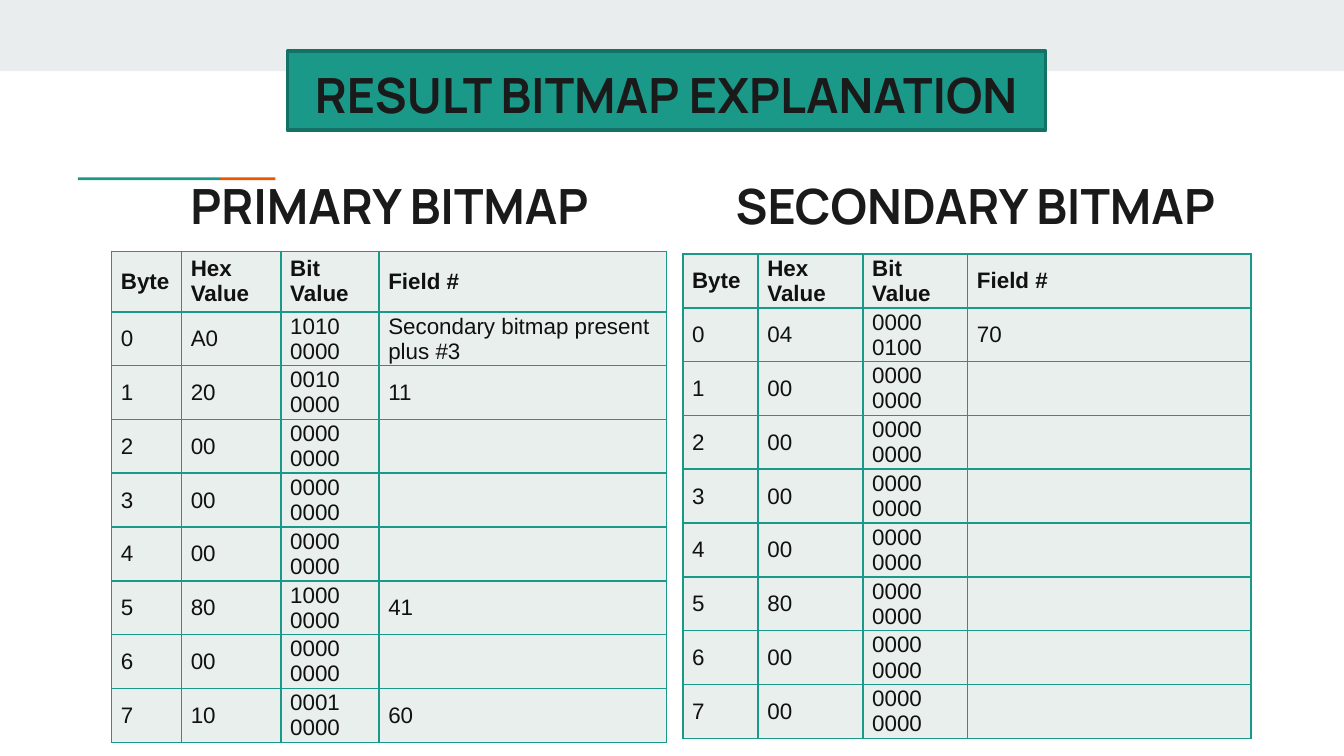
import pptx
import pptx.util
import pptx.dml.color
import pptx.enum.shapes
import pptx.enum.text
import pptx.oxml.ns
from lxml import etree

Inches = pptx.util.Inches
qn = pptx.oxml.ns.qn
COLORS = {
    "band": "E9EDEE", "teal": "1A9988", "dark_teal": "137165",
    "orange": "EB5600", "heading": "1A1A1A", "text": "111111", "cell": "E8EFED",
}
HEADER = ["Byte", "Hex Value", "Bit Value", "Field #"]
ZERO = ("00", "0000 0000", "")
PRIMARY = [
    ("A0", "1010 0000", "Secondary bitmap present plus #3"),
    ("20", "0010 0000", "11"), ZERO, ZERO, ZERO,
    ("80", "1000 0000", "41"), ZERO, ("10", "0001 0000", "60"),
]
SECONDARY = [
    ("04", "0000 0100", "70"), ZERO, ZERO, ZERO, ZERO,
    ("80", "0000 0000", ""), ZERO, ZERO,
]


def rgb(name):
    return pptx.dml.color.RGBColor.from_string(COLORS[name])


def style_font(font, family, size, color, bold):
    font.name = family
    font.size = pptx.util.Pt(size)
    font.bold = bold
    font.color.rgb = rgb(color)


def add_rectangle(page, left, top, width, height, fill, line=None):
    shape = page.shapes.add_shape(
        pptx.enum.shapes.MSO_SHAPE.RECTANGLE,
        Inches(left), Inches(top), Inches(width), Inches(height))
    shape.shadow.inherit = False
    shape.fill.solid()
    shape.fill.fore_color.rgb = rgb(fill)
    if line:
        shape.line.color.rgb = rgb(line)
        shape.line.width = pptx.util.Pt(2)
    else:
        shape.line.fill.background()
    return shape


def write_heading(box, text):
    frame = box.text_frame
    frame.word_wrap = True
    frame.vertical_anchor = pptx.enum.text.MSO_ANCHOR.TOP
    frame.margin_left = frame.margin_right = Inches(0.1)
    frame.margin_top = frame.margin_bottom = Inches(0.1)
    para = frame.paragraphs[0]
    para.text = text
    para.alignment = pptx.enum.text.PP_ALIGN.CENTER
    style_font(para.font, "Manrope", 26, "heading", True)


def add_heading(page, left, top, width, height, text):
    box = page.shapes.add_textbox(
        Inches(left), Inches(top), Inches(width), Inches(height))
    write_heading(box, text)


def add_banner(page, left, top, width, height, text):
    box = add_rectangle(page, left, top, width, height, "teal", "dark_teal")
    write_heading(box, text)


def add_accent(page, left, top, width, height):
    teal_width = width * 0.72
    add_rectangle(page, left + teal_width, top, width - teal_width, height, "orange")
    add_rectangle(page, left, top, teal_width, height, "teal")


def set_borders(cell):
    properties = cell._tc.get_or_add_tcPr()
    for position, side in enumerate(("lnL", "lnR", "lnT", "lnB")):
        line = etree.Element(qn("a:" + side), w=str(pptx.util.Pt(1)))
        fill = etree.SubElement(line, qn("a:solidFill"))
        etree.SubElement(fill, qn("a:srgbClr"), val=COLORS["teal"])
        properties.insert(position, line)


def fill_cell(cell, text, bold):
    cell.fill.solid()
    cell.fill.fore_color.rgb = rgb("cell")
    cell.vertical_anchor = pptx.enum.text.MSO_ANCHOR.MIDDLE
    cell.margin_left = cell.margin_right = Inches(0.07)
    cell.margin_top = cell.margin_bottom = 0
    para = cell.text_frame.paragraphs[0]
    if text:
        # Row heights follow the size set on the span
        span = para.add_run()
        span.text = text
        style_font(span.font, "Arial", 12, "text", bold)
    else:
        etree.SubElement(para._p, qn("a:endParaRPr"), sz="1200")
    set_borders(cell)


def add_bitmap_table(page, left, top, columns, header_height, row_height, values):
    rows = [HEADER] + [(str(byte), *value) for byte, value in enumerate(values)]
    heights = [header_height] + [row_height] * len(values)
    table = page.shapes.add_table(
        len(rows), len(columns), Inches(left), Inches(top),
        Inches(sum(columns)), Inches(sum(heights))).table
    for column, width in zip(table.columns, columns):
        column.width = Inches(width)
    for index, (row, height) in enumerate(zip(table.rows, heights)):
        row.height = Inches(height)
        for cell, text in zip(row.cells, rows[index]):
            fill_cell(cell, text, index == 0)


def main():
    deck = pptx.Presentation()
    deck.slide_width = Inches(10)
    deck.slide_height = Inches(10 * 9 / 16)
    page = deck.slides.add_slide(deck.slide_layouts[6])

    # Top band and accent line
    add_rectangle(page, 0, 0, 10, 0.53, "band")
    add_accent(page, 0.58, 1.32, 1.47, 0.02)

    # Primary and secondary bitmaps
    add_heading(page, 0.8, 1.21, 4.2, 0.59, "PRIMARY BITMAP")
    add_bitmap_table(page, 0.83, 1.87, [0.52, 0.74, 0.73, 2.14], 0.45, 0.36, PRIMARY)
    add_bitmap_table(page, 5.08, 1.89, [0.56, 0.78, 0.78, 2.11], 0.4, 0.4, SECONDARY)
    add_heading(page, 5.16, 1.21, 4.2, 0.59, "SECONDARY BITMAP")

    # Slide title
    add_banner(page, 2.14, 0.38, 5.64, 0.59, "RESULT BITMAP EXPLANATION")

    deck.save("out.pptx")


if __name__ == "__main__":
    main()
